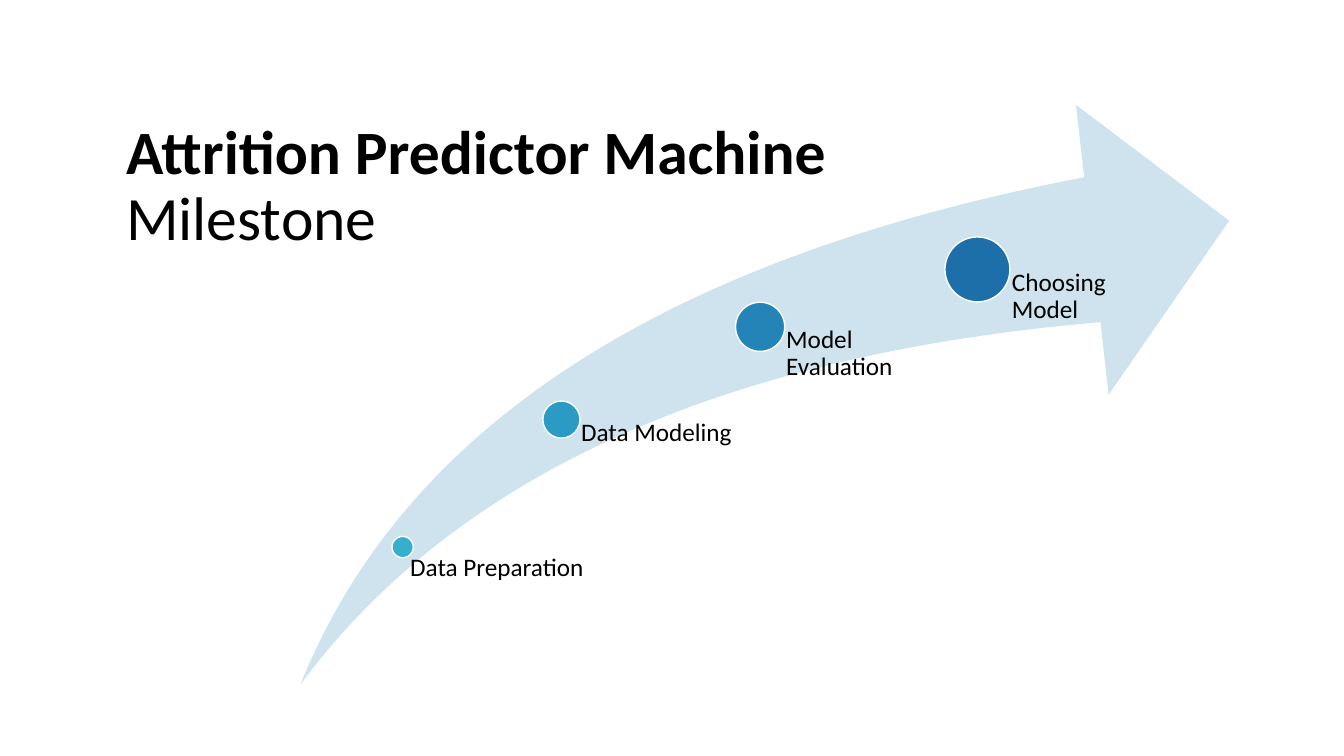
from dataclasses import dataclass

import pptx
import pptx.dml.color
import pptx.enum.shapes
import pptx.enum.text
import pptx.slide
import pptx.text.text
import pptx.util

SHAPE = pptx.enum.shapes.MSO_SHAPE
RGB = pptx.dml.color.RGBColor.from_string


@dataclass(frozen=True)
class Theme:
    font: str = "Calibri"
    text: str = "000000"
    arrow: str = "CEE3ED"
    outline: str = "FFFFFF"
    title_size: int = 44
    label_size: int = 18
    line_spacing: float = 0.9


@dataclass(frozen=True)
class Box:
    """A rectangle in inches."""
    left: float
    top: float
    width: float
    height: float

    def emu(self) -> tuple[int, ...]:
        return tuple(pptx.util.Inches(length) for length in
                     (self.left, self.top, self.width, self.height))


@dataclass(frozen=True)
class Milestone:
    """Centre, diameter and label shift are shares of the arrow's size."""
    label: str
    color: str
    x: float
    y: float
    diameter: float
    shift_x: float = 0
    shift_y: float = 0


THEME = Theme()
SLIDE_WIDTH, SLIDE_HEIGHT = 13.33, 7.5


def slide_box(left: float, top: float, width: float, height: float) -> Box:
    """Turn shares of the slide's size into inches."""
    return Box(left * SLIDE_WIDTH, top * SLIDE_HEIGHT,
               width * SLIDE_WIDTH, height * SLIDE_HEIGHT)


TITLE = slide_box(0.0863, 0.1133, 0.5716, 0.2293)
ARROW = slide_box(0.2236, 0.1387, 0.6909, 0.7667)
LABEL_WIDTH = 0.21  # share of the arrow's width
LABEL_INSET = 1.06  # in disc radii
MILESTONES = (
    Milestone("Data Preparation", "36AFCE", 0.11, 0.763, 0.023, -0.004, 0.013),
    Milestone("Data Modeling", "2B9AC4", 0.281, 0.543, 0.04),
    Milestone("Model Evaluation", "2484B7", 0.495, 0.383, 0.053),
    Milestone("Choosing Model", "1D6FA9", 0.729, 0.284, 0.07),
)


def format_paragraph(paragraph: pptx.text.text._Paragraph, size: int) -> None:
    paragraph.alignment = pptx.enum.text.PP_ALIGN.LEFT
    paragraph.line_spacing = THEME.line_spacing
    for run in paragraph.runs:
        run.font.name = THEME.font
        run.font.size = pptx.util.Pt(size)
        run.font.color.rgb = RGB(THEME.text)


def add_title(slide: pptx.slide.Slide) -> None:
    title = slide.shapes.title
    title.left, title.top, title.width, title.height = TITLE.emu()
    frame = title.text_frame
    frame.text = "Attrition Predictor Machine\vMilestone"
    frame.word_wrap = True
    frame.auto_size = pptx.enum.text.MSO_AUTO_SIZE.NONE
    frame.vertical_anchor = pptx.enum.text.MSO_ANCHOR.BOTTOM
    paragraph = frame.paragraphs[0]
    format_paragraph(paragraph, THEME.title_size)
    name, subject = paragraph.runs
    name.font.bold = True
    subject.font.bold = False


def add_arrow(slide: pptx.slide.Slide) -> None:
    arrow = slide.shapes.add_shape(SHAPE.SWOOSH_ARROW, *ARROW.emu())
    arrow.shadow.inherit = False
    arrow.adjustments[0] = 0.25
    arrow.adjustments[1] = 0.25
    arrow.fill.solid()
    arrow.fill.fore_color.rgb = RGB(THEME.arrow)
    arrow.line.fill.background()


def add_milestone(slide: pptx.slide.Slide, milestone: Milestone) -> None:
    """Add a disc and a label that starts at the disc's centre."""
    center_x = ARROW.left + milestone.x * ARROW.width
    center_y = ARROW.top + milestone.y * ARROW.height
    diameter = milestone.diameter * ARROW.width
    radius = diameter / 2

    disc_box = Box(center_x - radius, center_y - radius, diameter, diameter)
    disc = slide.shapes.add_shape(SHAPE.OVAL, *disc_box.emu())
    disc.shadow.inherit = False
    disc.fill.solid()
    disc.fill.fore_color.rgb = RGB(milestone.color)
    disc.line.color.rgb = RGB(THEME.outline)
    disc.line.width = pptx.util.Pt(1)

    label_box = Box(center_x + milestone.shift_x * ARROW.width,
                    center_y + milestone.shift_y * ARROW.height,
                    LABEL_WIDTH * ARROW.width,
                    (1 - milestone.y) * ARROW.height)
    frame = slide.shapes.add_textbox(*label_box.emu()).text_frame
    frame.text = milestone.label
    frame.word_wrap = True
    frame.margin_left = pptx.util.Inches(LABEL_INSET * radius)
    frame.margin_top = frame.margin_right = frame.margin_bottom = 0
    format_paragraph(frame.paragraphs[0], THEME.label_size)


def main() -> None:
    presentation = pptx.Presentation()
    presentation.slide_width = pptx.util.Inches(SLIDE_WIDTH)
    presentation.slide_height = pptx.util.Inches(SLIDE_HEIGHT)
    title_only = presentation.slide_layouts.get_by_name("Title Only")
    slide = presentation.slides.add_slide(title_only)
    add_title(slide)
    add_arrow(slide)
    for milestone in MILESTONES:
        add_milestone(slide, milestone)
    presentation.save("out.pptx")


if __name__ == "__main__":
    main()
